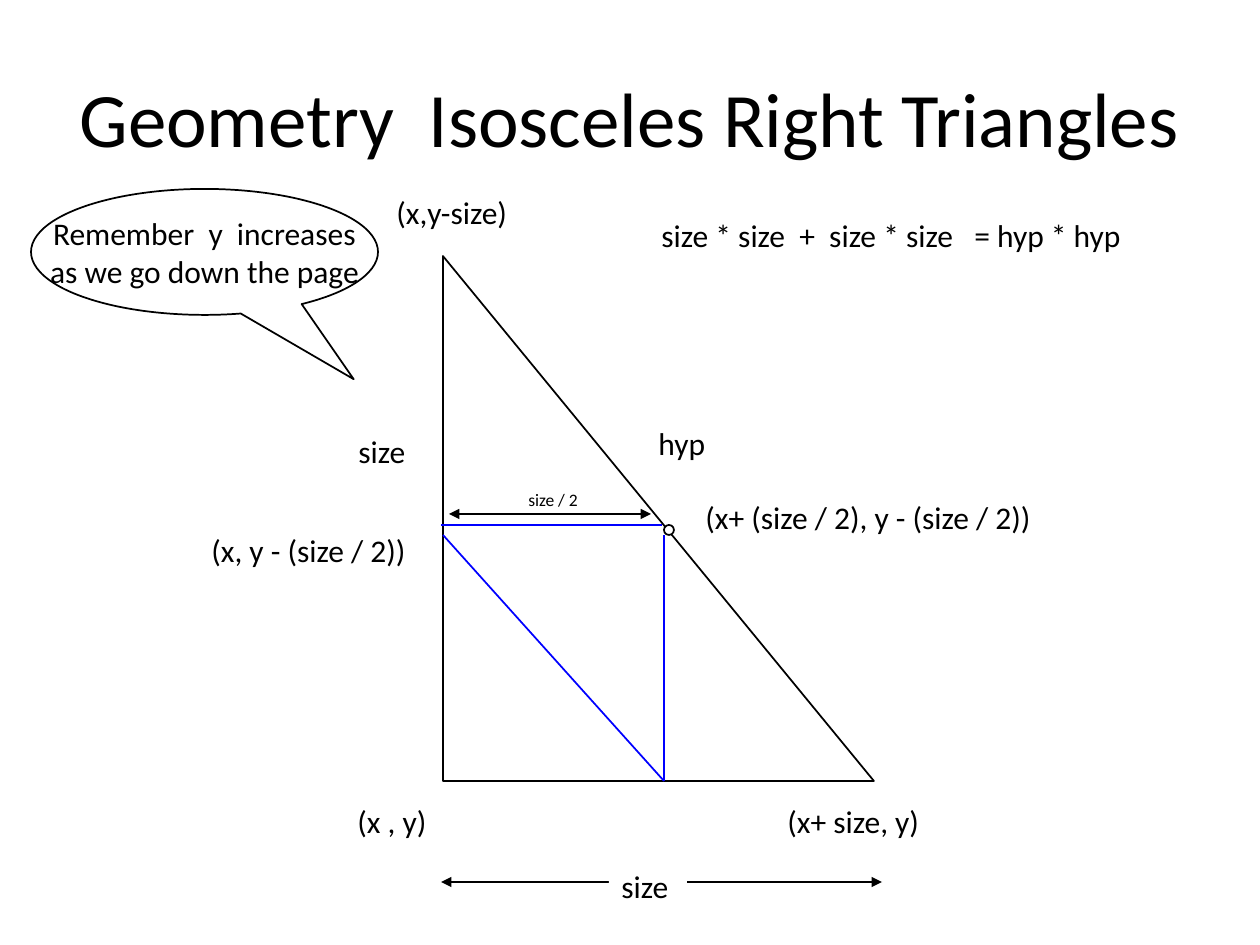
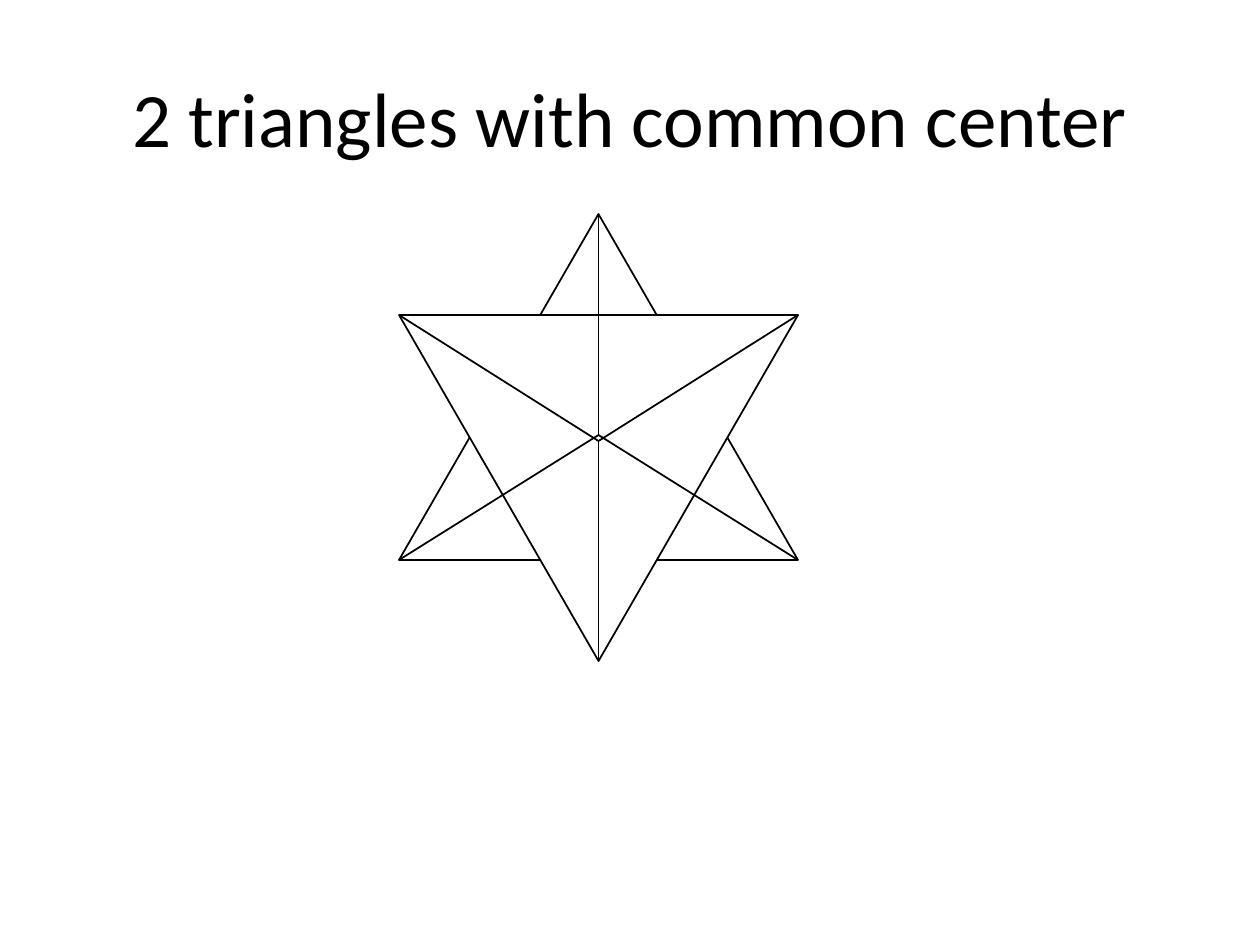
"""Builds two geometry slides about triangles."""
from dataclasses import dataclass

from lxml.etree import SubElement
from pptx import Presentation
from pptx.dml.color import RGBColor
from pptx.enum.shapes import MSO_CONNECTOR, MSO_SHAPE
from pptx.enum.text import MSO_ANCHOR, MSO_AUTO_SIZE, PP_ALIGN
from pptx.oxml.ns import qn
from pptx.util import Emu, Inches, Pt

SCALE = Inches(1) / 126


@dataclass(frozen=True)
class Theme:
    """Colours, font and type sizes."""
    ink: RGBColor = RGBColor(0, 0, 0)
    paper: RGBColor = RGBColor(255, 255, 255)
    accent: RGBColor = RGBColor(0, 0, 255)
    font: str = "Calibri"
    title_size: int = 44
    label_size: int = 18
    note_size: int = 10
    line_width: int = 1


def pixels(*lengths):
    """Turn pixel lengths into EMU."""
    return [Emu(round(length * SCALE)) for length in lengths]


def apply_format(target, values):
    """Set attributes from a dict of format values."""
    for name, value in values.items():
        setattr(target, name, value)


class Sketch:
    """Draws elements in one style on the current slide."""

    def __init__(self, deck, theme):
        """Keep the deck and the theme."""
        self.deck = deck
        self.theme = theme
        self.canvas = None

    def page(self, heading):
        """Start a slide with a centred title."""
        page = self.deck.slides.add_slide(self.deck.slide_layouts[5])
        self.canvas = page.shapes
        title = page.shapes.title
        left, top, width, height = pixels(63, 38, 1134, 158)
        apply_format(title, {"left": left, "top": top, "width": width, "height": height})
        frame_format = {"word_wrap": True, "auto_size": MSO_AUTO_SIZE.NONE,
                        "vertical_anchor": MSO_ANCHOR.MIDDLE}
        self.fill_text(title, [heading], self.theme.title_size, PP_ALIGN.CENTER, frame_format)

    def group(self):
        """Send the next elements of this slide into a group."""
        self.canvas = self.canvas.add_group_shape().shapes

    def fill_text(self, box, lines, size, alignment, frame_format):
        """Fill a text frame, one paragraph a line."""
        frame = box.text_frame
        apply_format(frame, frame_format)
        for number, line in enumerate(lines):
            para = frame.add_paragraph() if number else frame.paragraphs[0]
            para.alignment = alignment
            span = para.add_run()
            span.text = line
            apply_format(span.font, {"name": self.theme.font, "size": Pt(size)})
            span.font.color.rgb = self.theme.ink

    def paint(self, shape):
        """Give a shape a solid paper fill."""
        shape.fill.solid()
        shape.fill.fore_color.rgb = self.theme.paper

    def stroke(self, item, color):
        """Give a shape or connector its outline."""
        item.line.color.rgb = color
        item.line.width = Pt(self.theme.line_width)

    def label(self, text, left, top, width, height=47, size=None, filled=False):
        """Add a one-line label."""
        box = self.canvas.add_textbox(*pixels(left, top, width, height))
        if filled:
            self.paint(box)
        frame_format = {"word_wrap": False, "auto_size": MSO_AUTO_SIZE.SHAPE_TO_FIT_TEXT}
        self.fill_text(box, [text], size or self.theme.label_size, PP_ALIGN.LEFT, frame_format)

    def shape(self, kind, left, top, width, height, rotation=0):
        """Add an outlined preset shape."""
        shape = self.canvas.add_shape(kind, *pixels(left, top, width, height))
        shape.shadow.inherit = False
        shape.rotation = rotation
        self.paint(shape)
        self.stroke(shape, self.theme.ink)
        return shape

    def callout(self, lines, left, top, width, height, tip):
        """Add an oval speech bubble."""
        bubble = self.shape(MSO_SHAPE.OVAL_CALLOUT, left, top, width, height)
        for index, value in enumerate(tip):
            bubble.adjustments[index] = value
        frame_format = {"word_wrap": False, "vertical_anchor": MSO_ANCHOR.MIDDLE}
        self.fill_text(bubble, lines, self.theme.label_size, PP_ALIGN.CENTER, frame_format)

    def line(self, start, end, color=None, arrows=False):
        """Add a straight line, with arrowheads at both ends if asked."""
        line = self.canvas.add_connector(MSO_CONNECTOR.STRAIGHT, *pixels(*start, *end))
        self.stroke(line, color or self.theme.ink)
        properties = line.element.spPr
        if arrows:
            outline = properties.find(qn("a:ln"))
            for tag in ("a:headEnd", "a:tailEnd"):
                SubElement(outline, qn(tag), type="triangle")
        SubElement(properties, qn("a:effectLst"))


def draw_right_triangle(sketch):
    """Draw the right triangle split at its midpoints."""
    theme = sketch.theme
    left, base, middle, half_height = 443, 781, 664, 535
    sketch.page("Geometry  Isosceles Right Triangles")
    sketch.shape(MSO_SHAPE.RIGHT_TRIANGLE, left, 256, 431, base - 256)
    sketch.label(" size / 2", 512, 483, 87, 34, theme.note_size, filled=True)
    sketch.line((441, 882), (882, 882), arrows=True)
    sketch.label("size", 609, 861, 78, filled=True)
    for text, x, y, width in (
        ("(x,y-size)", 384, 187, 145),
        ("size", 346, 426, 84),
        ("hyp", 646, 418, 76),
        ("size * size  +  size * size   = hyp * hyp", 649, 210, 513),
        ("(x+ (size / 2), y - (size / 2))", 693, 492, 363),
        ("(x, y - (size / 2))", 199, 525, 227),
        ("(x , y)", 345, 796, 98),
        ("(x+ size, y)", 775, 796, 169),
    ):
        sketch.label(text, x, y, width)
    sketch.shape(MSO_SHAPE.OVAL, 664, 525, 10, 10)
    for start, end in (
        ((middle, half_height), (middle, base)),
        ((662, 525), (441, 525)),
        ((left, half_height), (middle, base)),
    ):
        sketch.line(start, end, theme.accent)
    sketch.callout(["Remember  y  increases", "as we go down the page"],
                   31, 189, 347, 126, (0.43, 1.01))
    sketch.line((449, 514), (651, 514), arrows=True)


def draw_star(sketch):
    """Draw two opposed triangles with lines from corners to centre."""
    left, width, height = 399, 399, 346
    middle, right = left + width / 2, left + width
    upright_top, inverted_top = 214, 315
    upright_base, inverted_tip = upright_top + height, inverted_top + height
    sketch.page("2 triangles with common center")
    sketch.group()
    for top, rotation in ((upright_top, 0), (inverted_top, 180)):
        sketch.shape(MSO_SHAPE.ISOSCELES_TRIANGLE, left, top, width, height, rotation)
    for tip, side, center in (
        (inverted_tip, inverted_top, 441),
        (upright_top, upright_base, 435),
    ):
        for corner in ((middle, tip), (left, side), (right, side)):
            sketch.line(corner, (middle, center))


def main():
    """Build and save the deck."""
    deck = Presentation()
    apply_format(deck, {"slide_width": Inches(10), "slide_height": Inches(7.5)})
    sketch = Sketch(deck, Theme())
    draw_right_triangle(sketch)
    draw_star(sketch)
    deck.save("out.pptx")


main()
